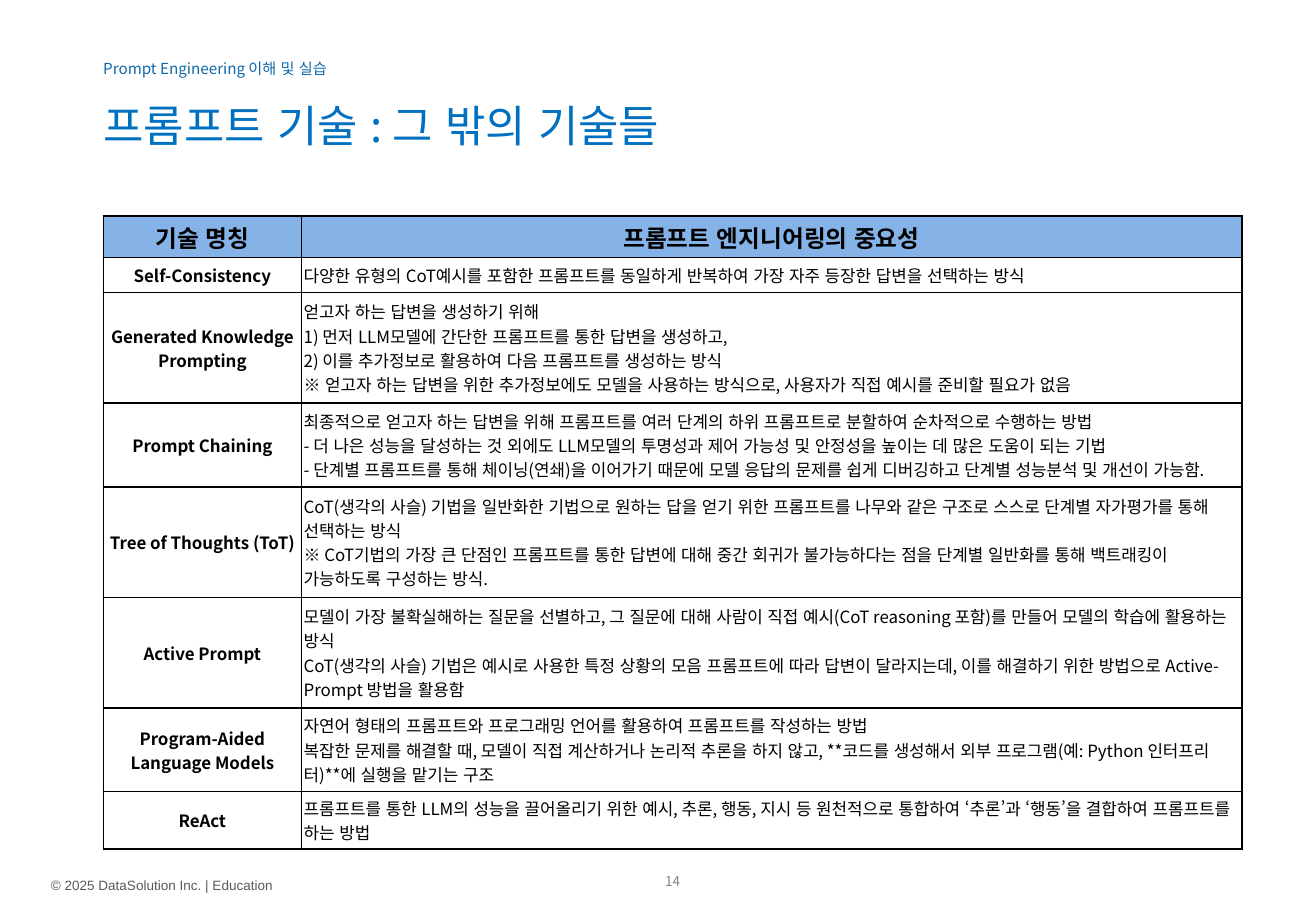
from dataclasses import dataclass

from pptx import Presentation
from pptx.dml.color import RGBColor
from pptx.enum.lang import MSO_LANGUAGE_ID as LANG
from pptx.enum.text import MSO_ANCHOR as ANCHOR, PP_ALIGN as ALIGN
from pptx.oxml import parse_xml
from pptx.oxml.ns import nsdecls, qn
from pptx.util import Inches, Pt


@dataclass(frozen=True)
class Theme:
    """Colours, fonts and type sizes of the slide."""
    title: str = "0070C0"
    course: str = "0E69AA"
    number: str = "808080"
    footer: str = "595959"
    ink: str = "000000"
    header: str = "85B2E7"
    font: str = "Noto Sans CJK KR"
    footer_font: str = "Arial"
    title_pt: int = 26
    header_pt: int = 14
    body_pt: int = 10
    course_pt: int = 9
    small_pt: int = 8


T = Theme()
COLS = [1.63, 7.74]
HEADER = ("기술 명칭", "프롬프트 엔지니어링의 중요성")
TECHNIQUES = [
    (0.29, "Self-Consistency", [
        "다양한 유형의 CoT예시를 포함한 프롬프트를 동일하게 반복하여 가장 자주 등장한 답변을 선택하는 방식"]),
    (0.91, "Generated Knowledge Prompting", [
        "얻고자 하는 답변을 생성하기 위해",
        "1) 먼저 LLM모델에 간단한 프롬프트를 통한 답변을 생성하고,",
        "2) 이를 추가정보로 활용하여 다음 프롬프트를 생성하는 방식",
        "※ 얻고자 하는 답변을 위한 추가정보에도 모델을 사용하는 방식으로, 사용자가 직접 예시를 준비할 필요가 없음"]),
    (0.69, "Prompt Chaining", [
        "최종적으로 얻고자 하는 답변을 위해 프롬프트를 여러 단계의 하위 프롬프트로 분할하여 순차적으로 수행하는 방법",
        "- 더 나은 성능을 달성하는 것 외에도 LLM모델의 투명성과 제어 가능성 및 안정성을 높이는 데 많은 도움이 되는 기법",
        "- 단계별 프롬프트를 통해 체이닝(연쇄)을 이어가기 때문에 모델 응답의 문제를 쉽게 디버깅하고 단계별 성능분석 및 개선이 가능함."]),
    (0.91, "Tree of Thoughts (ToT)", [
        "CoT(생각의 사슬) 기법을 일반화한 기법으로 원하는 답을 얻기 위한 프롬프트를 나무와 같은 구조로 스스로 단계별 자가평가를 통해 선택하는 방식",
        "※ CoT기법의 가장 큰 단점인 프롬프트를 통한 답변에 대해 중간 회귀가 불가능하다는 점을 단계별 일반화를 통해 백트래킹이 가능하도록 구성하는 방식."]),
    (0.91, "Active Prompt", [
        "모델이 가장 불확실해하는 질문을 선별하고, 그 질문에 대해 사람이 직접 예시(CoT reasoning 포함)를 만들어 모델의 학습에 활용하는 방식",
        "CoT(생각의 사슬) 기법은 예시로 사용한 특정 상황의 모음 프롬프트에 따라 답변이 달라지는데, 이를 해결하기 위한 방법으로 Active-Prompt 방법을 활용함"]),
    (0.69, "Program-Aided Language Models", [
        "자연어 형태의 프롬프트와 프로그래밍 언어를 활용하여 프롬프트를 작성하는 방법",
        "복잡한 문제를 해결할 때, 모델이 직접 계산하거나 논리적 추론을 하지 않고, **코드를 생성해서 외부 프로그램(예: Python 인터프리터)**에 실행을 맡기는 구조"]),
    (0.47, "ReAct", [
        "프롬프트를 통한 LLM의 성능을 끌어올리기 위한 예시, 추론, 행동, 지시 등 원천적으로 통합하여 ‘추론’과 ‘행동’을 결합하여 프롬프트를 하는 방법"]),
]


def write(tf, lines, size=T.body_pt, color=T.ink, font=T.font, bold=False, align=ALIGN.LEFT):
    """Write one formatted paragraph per line into a text frame."""
    for i, line in enumerate(lines):
        p = tf.add_paragraph() if i else tf.paragraphs[0]
        p.alignment = align
        r = p.add_run()
        r.text = line
        r.font.size, r.font.bold, r.font.name = Pt(size), bold, font
        r.font.language_id = LANG.KOREAN
        r.font.color.rgb = RGBColor.from_string(color)
        latin = r.font._element.find(qn("a:latin"))
        latin.addnext(parse_xml(f'<a:ea {nsdecls("a")} typeface="{font}"/>'))


def add_text(s, box, text, insets=(0, 0), wrap=True, anchor=ANCHOR.MIDDLE, **fmt):
    """Place a text box with horizontal and vertical insets."""
    tf = s.shapes.add_textbox(*map(Inches, box)).text_frame
    tf.word_wrap, tf.vertical_anchor = wrap, anchor
    tf.margin_left = tf.margin_right = Inches(insets[0])
    tf.margin_top = tf.margin_bottom = Inches(insets[1])
    write(tf, [text], **fmt)


def add_heading(s, box):
    """Place the course name above the slide title."""
    x, y, w, h = box
    add_text(s, (x, y, 3.07, 0.18), "Prompt Engineering 이해 및 실습",
             size=T.course_pt, color=T.course)
    add_text(s, (x, y + h - 0.44, w, 0.44), "프롬프트 기술 : 그 밖의 기술들",
             size=T.title_pt, color=T.title)


def add_footer(s, box):
    """Place the copyright line and the page number."""
    x, y, w, h = box
    add_text(s, (x, y, 2.06, h), "© 2025 DataSolution Inc. | Education",
             insets=(0.1, 0.05), wrap=False, anchor=ANCHOR.TOP,
             size=T.small_pt, color=T.footer, font=T.footer_font)
    add_text(s, (x + w - 0.45, y + 0.02, 0.45, 0.13), "14",
             size=T.small_pt, color=T.number, align=ALIGN.CENTER)


def fill_cell(cell, lines, fill=None, **fmt):
    """Write a bordered table cell."""
    cell.vertical_anchor = ANCHOR.MIDDLE
    cell.margin_left = cell.margin_right = Inches(0.02)
    cell.margin_top = cell.margin_bottom = Inches(0.01)
    tcPr = cell._tc.get_or_add_tcPr()
    for side in "LRTB":
        tcPr.append(parse_xml(
            f'<a:ln{side} {nsdecls("a")} w="{Pt(1)}"><a:solidFill>'
            f'<a:srgbClr val="{T.ink}"/></a:solidFill></a:ln{side}>'))
    if fill:
        cell.fill.solid()
        cell.fill.fore_color.rgb = RGBColor.from_string(fill)
    else:
        cell.fill.background()
    write(cell.text_frame, lines, **fmt)


def add_techniques(s, box):
    """Place the table of prompting techniques."""
    table = s.shapes.add_table(len(TECHNIQUES) + 1, len(COLS), *map(Inches, box)).table
    table.first_row = table.horz_banding = False
    for col, width in zip(table.columns, COLS):
        col.width = Inches(width)
    table.rows[0].height = Inches(0.34)
    for c, label in enumerate(HEADER):
        fill_cell(table.cell(0, c), [label], fill=T.header,
                  size=T.header_pt, bold=True, align=ALIGN.CENTER)
    for i, (height, name, lines) in enumerate(TECHNIQUES, 1):
        table.rows[i].height = Inches(height)
        fill_cell(table.cell(i, 0), [name], bold=True, align=ALIGN.CENTER)
        fill_cell(table.cell(i, 1), lines)


def main():
    """Build and save the slide."""
    prs = Presentation()
    prs.slide_width, prs.slide_height = Inches(10.83), Inches(7.5)
    s = prs.slides.add_slide(prs.slide_layouts[6])
    add_heading(s, (0.85, 0.47, 8.61, 0.78))
    add_techniques(s, (0.85, 1.78, sum(COLS), 5.2))
    add_footer(s, (0.32, 7.17, 5.44, 0.24))
    prs.save("out.pptx")


if __name__ == "__main__":
    main()
